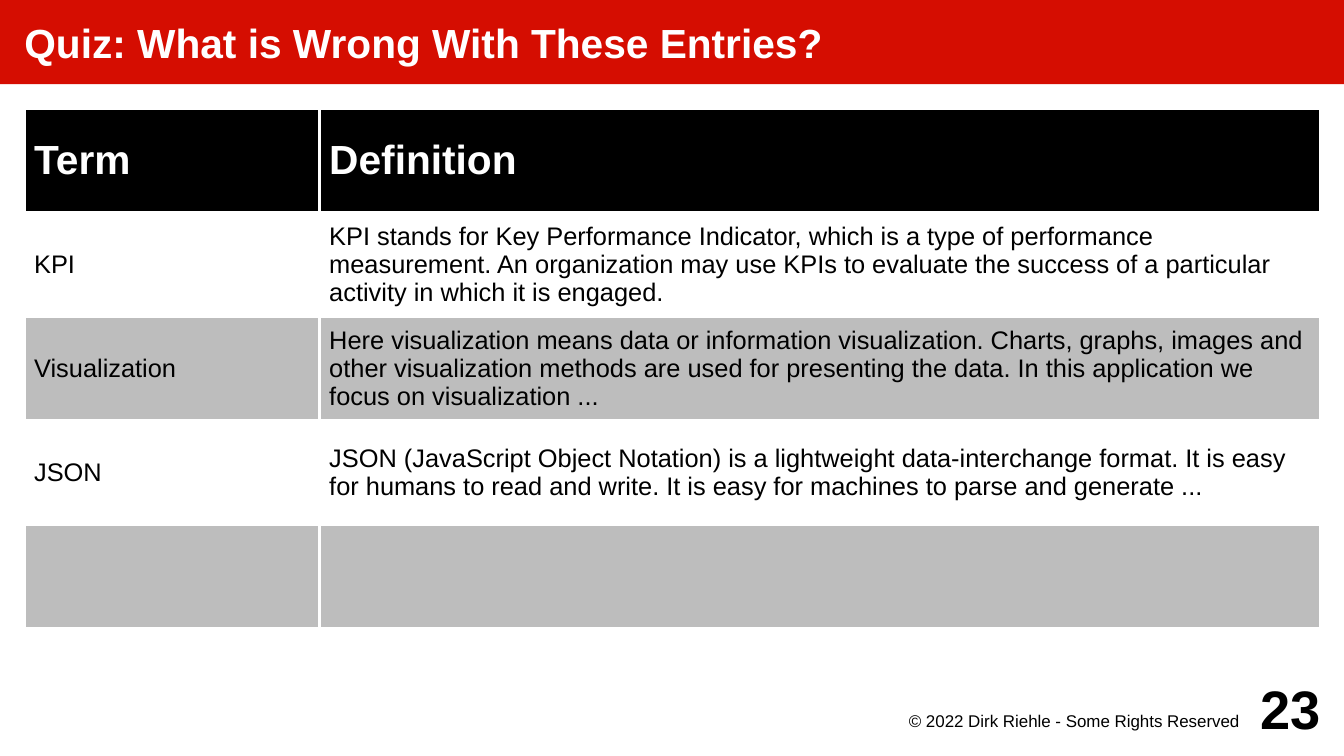
from lxml import etree
from pptx import Presentation
from pptx.dml.color import RGBColor
from pptx.enum.shapes import MSO_SHAPE
from pptx.enum.text import MSO_ANCHOR, PP_ALIGN
from pptx.oxml.ns import qn
from pptx.util import Inches, Pt

RECT = MSO_SHAPE.RECTANGLE
TOP, MIDDLE = MSO_ANCHOR.TOP, MSO_ANCHOR.MIDDLE
LEFT, RIGHT = PP_ALIGN.LEFT, PP_ALIGN.RIGHT

FONT = "Arial"
COLORS = {"red": "D50D01", "black": "000000", "white": "FFFFFF", "gray": "BDBDBD"}
WIDTH, HEIGHT = 11.02, 6.2
MARGIN = 0.2
BORDER_PT = 2.27
COLUMN_WIDTHS = (2.42, 8.21)
ENTRIES = [
    ("Term", "Definition"),
    ("KPI", "KPI stands for Key Performance Indicator, which is a type of performance "
     "measurement. An organization may use KPIs to evaluate the success of a "
     "particular activity in which it is engaged."),
    ("Visualization", "Here visualization means data or information visualization. "
     "Charts, graphs, images and other visualization methods are used for presenting "
     "the data. In this application we focus on visualization ..."),
    ("JSON", "JSON (JavaScript Object Notation) is a lightweight data-interchange "
     "format. It is easy for humans to read and write. It is easy for machines to "
     "parse and generate ..."),
    ("", ""),
    ("", ""),
]


def rgb(name):
    """Return the named colour."""
    return RGBColor.from_string(COLORS[name])


def write(tf, text, size, color="black", bold=False, align=LEFT):
    """Set the text of a frame and format its paragraph."""
    tf.text = text
    p = tf.paragraphs[0]
    p.alignment = align
    for font in (p.font, *(r.font for r in p.runs)):
        font.name, font.size, font.bold = FONT, Pt(size), bold
        font.color.rgb = rgb(color)


def set_frame(tf, anchor, insets):
    """Set wrapping, anchor and insets of a text frame."""
    tf.word_wrap = True
    tf.vertical_anchor = anchor
    tf.margin_left, tf.margin_top, tf.margin_right, tf.margin_bottom = map(Inches, insets)


def add_title(s, x, y, w, h):
    """Add the title bar."""
    sp = s.shapes.add_shape(RECT, Inches(x), Inches(y), Inches(w), Inches(h))
    sp.shadow.inherit = False
    sp.fill.solid()
    sp.fill.fore_color.rgb = rgb("red")
    sp.line.fill.background()
    set_frame(sp.text_frame, MIDDLE, (MARGIN, 0, 0, 0))
    write(sp.text_frame, "Quiz: What is Wrong With These Entries?", 24, "white", True)


def add_borders(cell):
    """Give a cell white lines on all four sides."""
    tc_pr = cell._tc.get_or_add_tcPr()
    for side in ("a:lnL", "a:lnR", "a:lnT", "a:lnB"):
        ln = etree.SubElement(tc_pr, qn(side), w=str(Pt(BORDER_PT)))
        fill = etree.SubElement(ln, qn("a:solidFill"))
        etree.SubElement(fill, qn("a:srgbClr"), val=COLORS["white"])


def add_glossary(s, x, y, w, h):
    """Add the table of terms with a black header and alternating rows."""
    table = s.shapes.add_table(len(ENTRIES), len(COLUMN_WIDTHS), Inches(x), Inches(y),
                               Inches(w), Inches(h)).table
    for column, width in zip(table.columns, COLUMN_WIDTHS):
        column.width = Inches(width)
    for i, entry in enumerate(ENTRIES):
        header = i == 0
        fill = "black" if header else ("white" if i % 2 else "gray")
        for j, text in enumerate(entry):
            cell = table.cell(i, j)
            add_borders(cell)
            cell.fill.solid()
            cell.fill.fore_color.rgb = rgb(fill)
            cell.vertical_anchor = MIDDLE
            cell.margin_left = cell.margin_right = Inches(0.08)
            cell.margin_top = cell.margin_bottom = Inches(0.05)
            write(cell.text_frame, text, 24 if header else 15,
                  "white" if header else "black", header)


def add_footer(s, x, y, w, h):
    """Add the copyright line and the page number."""
    number_w = 0.79
    parts = [
        ("© 2022 Dirk Riehle - Some Rights Reserved", x, y + 0.3, w - 0.59, h - 0.29,
         TOP, (0, 0.02, 0.08, 0), 10, False),
        ("23", x + w - number_w, y, number_w, h, MIDDLE, (0, 0, 0, 0), 32, True),
    ]
    for text, left, top, width, height, anchor, insets, size, bold in parts:
        sp = s.shapes.add_textbox(Inches(left), Inches(top), Inches(width), Inches(height))
        set_frame(sp.text_frame, anchor, insets)
        write(sp.text_frame, text, size, bold=bold, align=RIGHT)


def main():
    """Build the quiz slide and save it."""
    prs = Presentation()
    prs.slide_width, prs.slide_height = Inches(WIDTH), Inches(HEIGHT)
    s = prs.slides.add_slide(prs.slide_layouts[6])
    add_title(s, 0, 0, WIDTH, 0.69)
    add_glossary(s, MARGIN, 0.89, sum(COLUMN_WIDTHS), 5.12)
    add_footer(s, 7.09, 5.51, 3.74, 0.59)
    prs.save("out.pptx")


if __name__ == "__main__":
    main()
